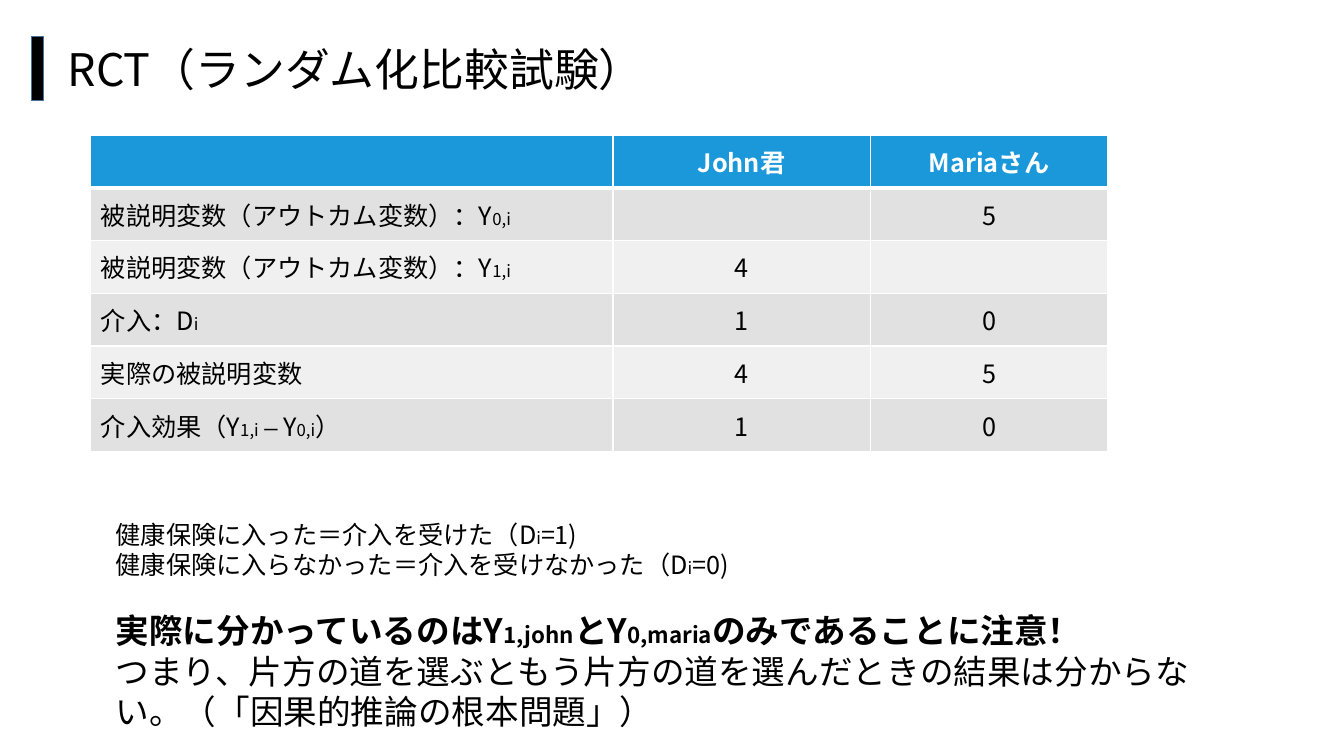
from typing import NamedTuple

from lxml import etree
from pptx import Presentation
from pptx.dml.color import RGBColor
from pptx.enum.shapes import MSO_SHAPE
from pptx.enum.text import MSO_ANCHOR, MSO_AUTO_SIZE, PP_ALIGN
from pptx.oxml.ns import qn
from pptx.util import Inches, Pt

LEFT, CENTER = PP_ALIGN.LEFT, PP_ALIGN.CENTER
TOP, MIDDLE = MSO_ANCHOR.TOP, MSO_ANCHOR.MIDDLE
GROW = MSO_AUTO_SIZE.SHAPE_TO_FIT_TEXT
RECTANGLE = MSO_SHAPE.RECTANGLE
FONT = "Noto Sans CJK JP"
COLORS = {"text": "000000", "white": "FFFFFF", "header": "1B98DA",
          "odd": "E1E1E1", "even": "F0F0F0", "bar_line": "43739E"}


class Span(NamedTuple):
    text: str
    size: float = 18


class Line(NamedTuple):
    spans: list[Span]
    bold: bool = False
    space_before: float = 0


def rgb(name: str) -> RGBColor:
    return RGBColor.from_string(COLORS[name])


def sub(text: str, size: float = 12) -> Span:
    return Span(text, size)


def write_line(para, spans: list[Span], *, bold: bool = False,
               color: str = "text", align=LEFT, space_before: float = 0) -> None:
    para.alignment = align
    if space_before:
        para.space_before = Pt(space_before)
    for span in spans:
        run = para.add_run()
        run.text = span.text
        font = run.font
        font.size, font.bold, font.name = Pt(span.size), bold, FONT
        font.color.rgb = rgb(color)
        # East Asian typeface
        etree.SubElement(run._r.get_or_add_rPr(), qn("a:ea"), typeface=FONT)


def set_frame(box, left: float, top: float, width: float, height: float,
              anchor=TOP):
    box.left, box.top = Inches(left), Inches(top)
    box.width, box.height = Inches(width), Inches(height)
    frame = box.text_frame
    frame.word_wrap = True
    frame.auto_size = GROW
    frame.vertical_anchor = anchor
    return frame


def set_borders(cell, bottom: float) -> None:
    properties = cell._tc.get_or_add_tcPr()
    widths = {"a:lnL": 1, "a:lnR": 1, "a:lnT": 1, "a:lnB": bottom}
    for index, (tag, width) in enumerate(widths.items()):
        border = etree.Element(qn(tag), w=str(Pt(width)))
        fill = etree.SubElement(border, qn("a:solidFill"))
        etree.SubElement(fill, qn("a:srgbClr"), val=COLORS["white"])
        properties.insert(index, border)


def add_results_table(page, rows: list[list[list[Span]]]) -> None:
    widths, row_height = [5.18, 2.55, 2.36], 3.14 / len(rows)
    table = page.shapes.add_table(
        len(rows), len(widths), Inches(0.9), Inches(1.34),
        Inches(sum(widths)), Inches(3.14)).table
    for column, width in zip(table.columns, widths):
        column.width = Inches(width)
    for r, row in enumerate(rows):
        table.rows[r].height = Inches(row_height)
        header = r == 0
        fill = "header" if header else "odd" if r % 2 else "even"
        for c, spans in enumerate(row):
            cell = table.cell(r, c)
            cell.vertical_anchor = MIDDLE
            cell.fill.solid()
            cell.fill.fore_color.rgb = rgb(fill)
            set_borders(cell, bottom=3 if header else 1)
            write_line(cell.text_frame.paragraphs[0], spans, bold=header,
                       color="white" if header else "text",
                       align=CENTER if c else LEFT)


ROWS = [
    [[], [Span("John君")], [Span("Mariaさん")]],
    [[Span("被説明変数（アウトカム変数）：Y"), sub("0,i")], [], [Span("5")]],
    [[Span("被説明変数（アウトカム変数）：Y"), sub("1,i")], [Span("4")], []],
    [[Span("介入：D"), sub("i")], [Span("1")], [Span("0")]],
    [[Span("実際の被説明変数")], [Span("4")], [Span("5")]],
    [[Span("介入効果（Y"), sub("1,i ー "), Span("Y"), sub("0,i"), Span("）")],
     [Span("1")], [Span("0")]],
]

NOTES = [
    Line([Span("健康保険に入った＝介入を受けた（D"), sub("i"), Span("=1)")]),
    Line([Span("健康保険に入らなかった＝介入を受けなかった（D"), sub("i"),
          Span("=0)")]),
    Line([Span("実際に分かっているのはY", 24), sub("1,john", 16), Span("とY", 24),
          sub("0,maria", 16), Span("のみであることに注意！", 24)],
         bold=True, space_before=22),
    Line([Span("つまり、片方の道を選ぶともう片方の道を選んだときの結果は"
               "分からない。（「因果的推論の根本問題」）", 24)]),
]


def main() -> None:
    deck = Presentation()
    deck.slide_width, deck.slide_height = Inches(13.33), Inches(7.5)
    page = deck.slides.add_slide(deck.slide_layouts[5])

    # Title with its accent bar
    bar = page.shapes.add_shape(RECTANGLE, Inches(0.31), Inches(0.36),
                                Inches(0.12), Inches(0.64))
    bar.shadow.inherit = False
    bar.fill.solid()
    bar.fill.fore_color.rgb = rgb("text")
    bar.line.color.rgb = rgb("bar_line")
    bar.line.width = Pt(1)
    title = set_frame(page.shapes.title, 0.57, 0.36, 6.43, 0.64, MIDDLE)
    write_line(title.paragraphs[0], [Span("RCT（ランダム化比較試験）", 32)])

    # Observed outcomes
    add_results_table(page, ROWS)

    # Notes below the table
    box = page.shapes.add_textbox(0, 0, 0, 0)
    notes = set_frame(box, 1.05, 5.1, 10.86, 2.22)
    for index, line in enumerate(NOTES):
        para = notes.add_paragraph() if index else notes.paragraphs[0]
        write_line(para, line.spans, bold=line.bold,
                   space_before=line.space_before)

    deck.save("out.pptx")


if __name__ == "__main__":
    main()
